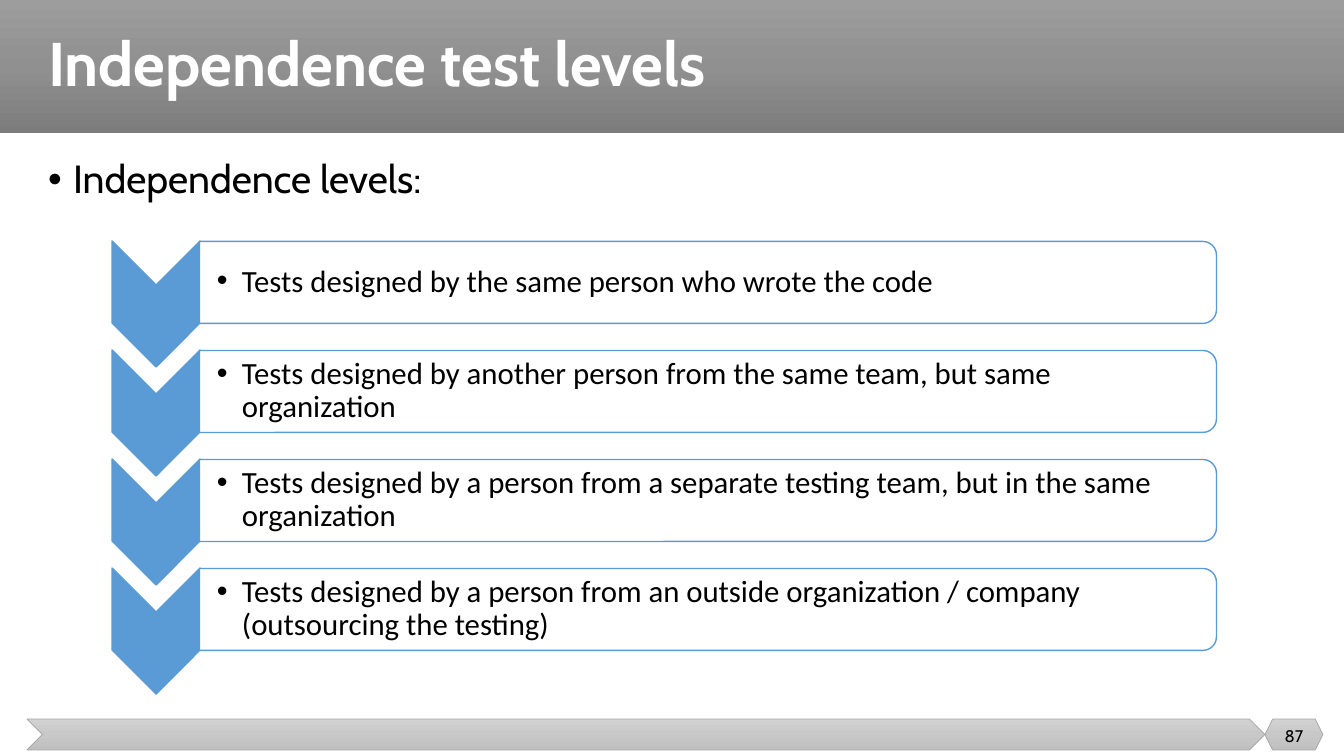
from copy import deepcopy

from lxml import etree
from pptx import Presentation
from pptx.dml.color import RGBColor
from pptx.enum.shapes import MSO_SHAPE
from pptx.enum.text import MSO_ANCHOR, PP_ALIGN
from pptx.oxml.ns import qn
from pptx.util import Pt

EMU_PER_PX = 914400 / 100.8
RECTANGLE = MSO_SHAPE.RECTANGLE
CHEVRON = MSO_SHAPE.CHEVRON
HEXAGON = MSO_SHAPE.HEXAGON
ROUND_TOP = MSO_SHAPE.ROUND_2_SAME_RECTANGLE
TOP, MIDDLE = MSO_ANCHOR.TOP, MSO_ANCHOR.MIDDLE
LEFT, CENTER = PP_ALIGN.LEFT, PP_ALIGN.CENTER

BLUE, WHITE, BLACK, GRAY = "5B9BD5", "FFFFFF", "000000", "A5A5A5"
HEADER_GRADIENT = ("9D9D9D", "909090", "7C7C7C")
FOOTER_GRADIENT = ("D2D2D2", "C8C8C8", "C0C0C0")
LEVEL_STEP = 109
LEVELS = (
    "Tests designed by the same person who wrote the code",
    "Tests designed by another person from the same team, but same organization",
    "Tests designed by a person from a separate testing team, but in the same organization",
    "Tests designed by a person from an outside organization / company (outsourcing the testing)",
)


def px(length):
    """Turn pixels into EMU."""
    return round(length * EMU_PER_PX)


def color(value):
    """Turn a hex string into a colour."""
    return RGBColor.from_string(value)


def set_gradient(fill, colors):
    """Fill from top to bottom with three evenly spaced colours."""
    fill.gradient()
    fill.gradient_angle = 270
    first = fill.gradient_stops[0]._gs
    first.addnext(deepcopy(first))
    for index, (stop, value) in enumerate(zip(fill.gradient_stops, colors)):
        stop.position = index / 2
        stop.color.rgb = color(value)


def add_block(slide, kind, box, fill, line=None, width=1, rotation=0):
    """Add a preset shape with a plain or gradient fill."""
    shape = slide.shapes.add_shape(kind, *map(px, box))
    shape.shadow.inherit = False
    shape.rotation = rotation
    if isinstance(fill, str):
        shape.fill.solid()
        shape.fill.fore_color.rgb = color(fill)
    else:
        set_gradient(shape.fill, fill)
    if line:
        shape.line.color.rgb = color(line)
        shape.line.width = Pt(width)
    else:
        shape.line.fill.background()


def add_bullet(paragraph, indent):
    """Give a paragraph a round bullet with a hanging indent."""
    properties = paragraph._p.get_or_add_pPr()
    properties.set("marL", str(px(indent)))
    properties.set("indent", str(-px(indent)))
    etree.SubElement(properties, qn("a:buFont"), typeface="Arial")
    etree.SubElement(properties, qn("a:buChar"), char="•")


def add_text(slide, box, text, size, font="Cabin", fill=BLACK, bold=False,
             anchor=MIDDLE, align=LEFT, spacing=0.9, bullet=False,
             insets=(10, 5, 10, 5)):
    """Add a wrapped text box holding one paragraph."""
    frame = slide.shapes.add_textbox(*map(px, box)).text_frame
    frame.word_wrap = True
    frame.vertical_anchor = anchor
    (frame.margin_left, frame.margin_top,
     frame.margin_right, frame.margin_bottom) = map(px, insets)
    paragraph = frame.paragraphs[0]
    paragraph.text = text
    if bullet:
        add_bullet(paragraph, 25)
    paragraph.alignment = align
    paragraph.line_spacing = spacing
    paragraph.font.name = font
    paragraph.font.size = Pt(size)
    paragraph.font.bold = bold
    paragraph.font.color.rgb = color(fill)


def add_level(slide, top, text):
    """Add a downward chevron and the rounded box beside it."""
    add_block(slide, CHEVRON, (93, top + 19, 126, 88), BLUE, BLUE, rotation=90)
    add_block(slide, ROUND_TOP, (667, top - 467, 82, 1017), WHITE, BLUE, rotation=90)
    add_text(slide, (200, top + 4, 1013, 74), text, 22, font="Calibri",
             bullet=True, insets=(17, 2, 2, 2))


def main():
    """Build the slide and save it."""
    presentation = Presentation()
    presentation.slide_width = px(1344)
    presentation.slide_height = px(756)
    slide = presentation.slides.add_slide(presentation.slide_layouts[6])

    add_block(slide, RECTANGLE, (0, 0, 1344, 133), HEADER_GRADIENT)
    add_block(slide, CHEVRON, (27, 719, 1238, 31), FOOTER_GRADIENT, GRAY, 0.5)
    add_block(slide, HEXAGON, (1265, 719, 58, 31), FOOTER_GRADIENT, GRAY, 0.5)
    add_text(slide, (38, 0, 1284, 133), "Independence test levels", 44,
             fill=WHITE, bold=True)
    add_text(slide, (38, 155, 1284, 523), "Independence levels:", 28,
             anchor=TOP, bullet=True)
    for index, text in enumerate(LEVELS):
        add_level(slide, 241 + index * LEVEL_STEP, text)
    add_text(slide, (1265, 716, 58, 40), "87", 12, align=CENTER, spacing=1.0)

    presentation.save("out.pptx")


if __name__ == "__main__":
    main()
